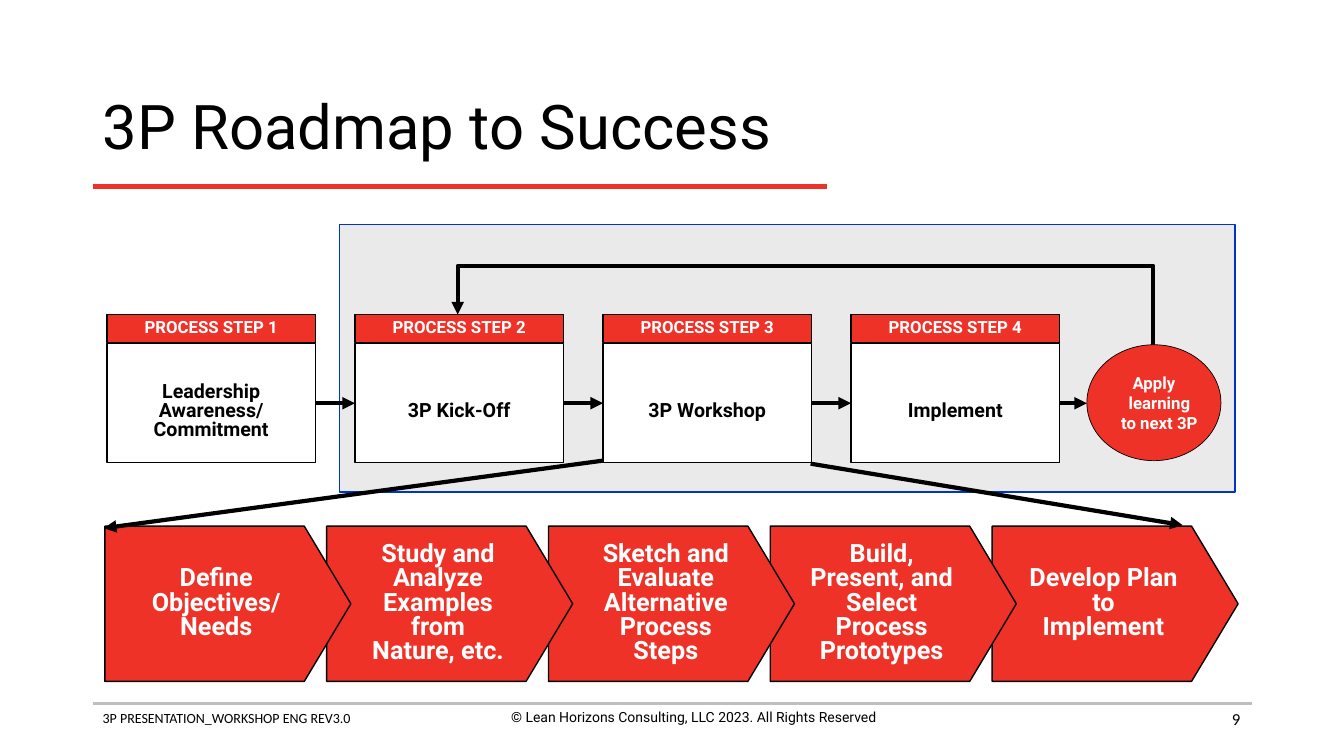
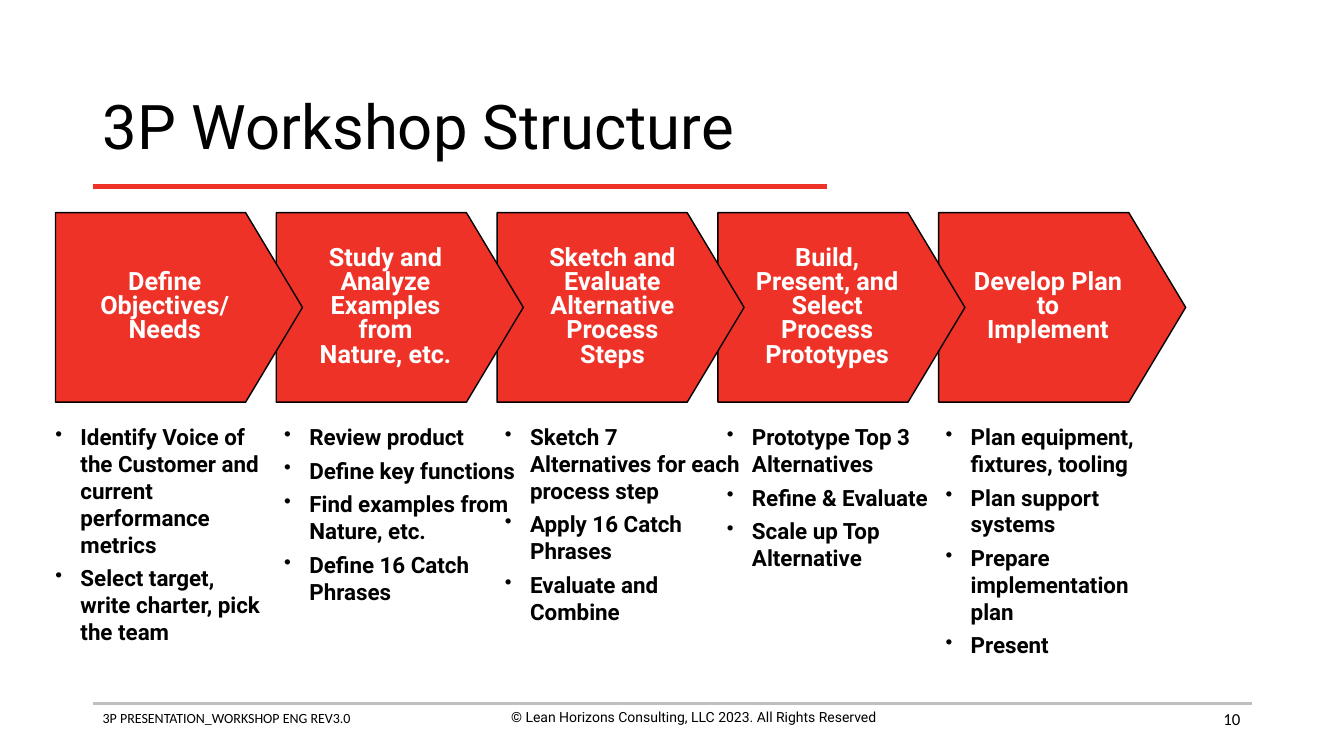
from lxml.etree import SubElement
from pptx import Presentation
from pptx.dml.color import RGBColor
from pptx.enum.shapes import MSO_CONNECTOR, MSO_SHAPE
from pptx.enum.text import MSO_ANCHOR, PP_ALIGN
from pptx.oxml.ns import qn
from pptx.util import Inches, Pt

RED, BLACK, WHITE = "EE3228", "000000", "FFFFFF"
PANEL_GRAY, PANEL_BLUE, RULE_GRAY = "EAEAEA", "0033CC", "BFBFBF"

TITLE = {"size": Pt(44), "name": "Roboto"}
FOOTER = {"size": Pt(10), "name": "Calibri"}
COPYRIGHT = {"size": Pt(10), "name": "Roboto"}
PAGE_NUMBER = {"size": Pt(12), "name": "Calibri"}
STEP_HEADER = {"size": Pt(12), "name": "Roboto", "bold": True}
STEP_BODY = {"size": Pt(14), "name": "Roboto", "bold": True}
BULLET = {"size": Pt(16), "name": "Roboto", "bold": True}
CHEVRON = {"size": Pt(18), "name": "Roboto", "bold": True}

CENTERED = {"alignment": PP_ALIGN.CENTER}
TIGHT = {"alignment": PP_ALIGN.CENTER, "line_spacing": 0.8}
MIDDLE = {"word_wrap": True, "vertical_anchor": MSO_ANCHOR.MIDDLE}
UNWRAPPED = {**MIDDLE, "word_wrap": False}
STEP_FRAME = {**MIDDLE, "margin_top": Inches(0.22)}
SHIFTED = {**MIDDLE, "margin_left": Inches(0.2), "margin_right": Inches(0.08)}

STEPS = ["Leadership Awareness/ Commitment", "3P Kick-Off", "3P Workshop", "Implement"]
STEP_LEFT, STEP_PITCH, STEP_WIDTH = 1.06, 2.46, 2.07
STEP_TOP, STEP_HEIGHT = 3.41, 1.18

PHASES = [
    ("Define\nObjectives/\nNeeds", MIDDLE),
    ("Study and\nAnalyze\nExamples\nfrom\nNature, etc.", MIDDLE),
    ("Sketch and\nEvaluate\nAlternative\nProcess\nSteps", SHIFTED),
    ("Build,\nPresent, and\nSelect\nProcess\nPrototypes", MIDDLE),
    ("Develop Plan\nto\nImplement", MIDDLE),
]

ACTIVITIES = [
    (0.45, 2.27, ["Identify Voice of the Customer and current performance metrics",
                  "Select target, write charter, pick the team"]),
    (2.72, 2.49, ["Review product", "Define key functions",
                  "Find examples from Nature, etc.", "Define 16 Catch Phrases"]),
    (4.91, 2.54, ["Sketch 7 Alternatives for each process step",
                  "Apply 16 Catch Phrases", "Evaluate and Combine"]),
    (7.11, 2.49, ["Prototype Top 3 Alternatives", "Refine & Evaluate",
                  "Scale up Top Alternative"]),
    (9.28, 2.47, ["Plan equipment, fixtures, tooling", "Plan support systems",
                  "Prepare implementation plan", "Present"]),
]


def color(value):
    """Turn a hex string into a colour."""
    return RGBColor.from_string(value)


def apply(target, values):
    """Set each named attribute on the target."""
    for name, value in values.items():
        setattr(target, name, value)


def indent(paragraph, distance):
    """Hang the first line of a paragraph and return its properties."""
    properties = paragraph._p.get_or_add_pPr()
    properties.set("marL", str(Inches(distance)))
    properties.set("indent", str(-Inches(distance)))
    return properties


def add_bullet(paragraph):
    """Give a paragraph a round black bullet."""
    properties = indent(paragraph, 0.25)
    bullet_color = SubElement(properties, qn("a:buClr"))
    SubElement(bullet_color, qn("a:srgbClr"), val=BLACK)
    SubElement(properties, qn("a:buSzPct"), val="90000")
    SubElement(properties, qn("a:buChar"), char="•")


def style(paragraph, font, text_color, layout):
    """Apply layout and font values to a paragraph."""
    apply(paragraph, layout)
    apply(paragraph.font, font)
    paragraph.font.color.rgb = color(text_color)


def write(shape, text, font, text_color=BLACK, frame=MIDDLE, layout=CENTERED):
    """Write one formatted paragraph into a shape and return it."""
    apply(shape.text_frame, frame)
    paragraph = shape.text_frame.paragraphs[0]
    paragraph.text = text
    style(paragraph, font, text_color, layout)
    return paragraph


def add_text(slide, box, text, font, frame, layout):
    """Add a text box with one paragraph."""
    shape = slide.shapes.add_textbox(*map(Inches, box))
    write(shape, text, font, frame=frame, layout=layout)


def add_shape(slide, kind, box, fill, line=BLACK, width=1):
    """Add a filled and outlined preset shape."""
    shape = slide.shapes.add_shape(kind, *map(Inches, box))
    shape.shadow.inherit = False
    shape.fill.solid()
    shape.fill.fore_color.rgb = color(fill)
    shape.line.color.rgb = color(line)
    shape.line.width = Pt(width)
    return shape


def add_line(slide, start, end, line=BLACK, width=3, arrow=False, kind=MSO_CONNECTOR.STRAIGHT):
    """Add a connector, with an arrowhead at its end if wanted."""
    connector = slide.shapes.add_connector(kind, *map(Inches, start + end))
    connector.line.color.rgb = color(line)
    connector.line.width = Pt(width)
    if arrow:
        SubElement(connector.line._get_or_add_ln(), qn("a:tailEnd"), type="triangle")
    SubElement(connector._element.spPr, qn("a:effectLst"))
    return connector


def add_base_slide(presentation, title, number):
    """Add a slide with title, rules and footer."""
    slide = presentation.slides.add_slide(presentation.slide_layouts[6])
    add_line(slide, (0.92, 6.98), (12.42, 6.98), RULE_GRAY, 2)
    add_line(slide, (0.92, 1.85), (8.2, 1.85), RED)
    top = {"word_wrap": True}
    add_text(slide, (0.92, 6.99, 4.56, 0.44), "3P PRESENTATION_WORKSHOP ENG REV3.0",
             FOOTER, top, {})
    add_text(slide, (4.6, 6.98, 4.56, 0.44),
             "© Lean Horizons Consulting, LLC 2023. All Rights Reserved",
             COPYRIGHT, top, CENTERED)
    add_text(slide, (0.92, 0.74, 11.5, 1.1), title, TITLE, MIDDLE, {"line_spacing": 0.9})
    add_text(slide, (9.4, 6.93, 3, 0.4), str(number), PAGE_NUMBER, MIDDLE,
             {"alignment": PP_ALIGN.RIGHT})
    return slide


def add_chevrons(slide, left, top, pitch, width, height):
    """Add the row of phases, each overlapping the next."""
    for index, (label, frame) in reversed(list(enumerate(PHASES))):
        box = (left + index * pitch, top, width, height)
        shape = add_shape(slide, MSO_SHAPE.PENTAGON, box, RED)
        shape.adjustments[0] = 0.3
        write(shape, label, CHEVRON, WHITE, frame, TIGHT)


def add_step(slide, index, label):
    """Add one process step with its header and return its body."""
    left = STEP_LEFT + index * STEP_PITCH
    body = add_shape(slide, MSO_SHAPE.RECTANGLE, (left, STEP_TOP, STEP_WIDTH, STEP_HEIGHT), WHITE)
    write(body, label, STEP_BODY, frame=STEP_FRAME, layout=TIGHT)
    header = add_shape(slide, MSO_SHAPE.RECTANGLE, (left, 3.12, STEP_WIDTH, 0.28), RED)
    write(header, f"PROCESS STEP {index + 1}", STEP_HEADER, WHITE, UNWRAPPED, TIGHT)
    return body


def add_feedback_arrow(slide):
    """Add the elbow arrow that leads from the circle back to step 2."""
    connector = add_line(slide, (8.14, -0.18), (7.84, 6.72), arrow=True, kind=MSO_CONNECTOR.ELBOW)
    properties = connector._element.spPr
    properties.find(qn("a:xfrm")).set("rot", "5400000")
    geometry = properties.find(qn("a:prstGeom"))
    guides = geometry.find(qn("a:avLst"))
    if guides is None:
        guides = SubElement(geometry, qn("a:avLst"))
    SubElement(guides, qn("a:gd"), name="adj1", fmla="val 261300")


def add_activities(slide, left, width, items):
    """Add a bulleted column of activities."""
    shape = slide.shapes.add_textbox(*map(Inches, (left, 4.15, width, 2.6)))
    shape.text_frame.word_wrap = True
    for index, item in enumerate(items):
        paragraph = shape.text_frame.add_paragraph() if index else shape.text_frame.paragraphs[0]
        paragraph.text = item
        add_bullet(paragraph)
        style(paragraph, BULLET, BLACK, {"space_before": Pt(4.8)} if index else {})


def build_roadmap(presentation):
    """Build the roadmap slide."""
    slide = add_base_slide(presentation, "3P Roadmap to Success", 9)
    add_shape(slide, MSO_SHAPE.RECTANGLE, (3.37, 2.23, 8.88, 2.65), PANEL_GRAY, PANEL_BLUE)
    circle = add_shape(slide, MSO_SHAPE.OVAL, (10.78, 3.42, 1.33, 1.15), RED, width=0.5)
    indent(write(circle, "Apply\nlearning\nto next 3P", STEP_HEADER, WHITE, UNWRAPPED), 0.11)
    bodies = [add_step(slide, index, label) for index, label in enumerate(STEPS)]
    middle = STEP_TOP + STEP_HEIGHT / 2
    for body, following in zip(bodies, bodies[1:] + [None]):
        arrow = add_line(slide, (10.51, middle), (10.78, middle), arrow=True)
        arrow.begin_connect(body, 3)
        if following is not None:
            arrow.end_connect(following, 1)
    add_feedback_arrow(slide)
    add_chevrons(slide, 1.04, 5.22, 2.2, 2.44, 1.54)
    add_line(slide, (5.98, 4.57), (1.03, 5.24), arrow=True)
    add_line(slide, (8.04, 4.6), (11.73, 5.21), arrow=True)


def build_structure(presentation):
    """Build the workshop structure slide."""
    slide = add_base_slide(presentation, "3P Workshop Structure", 10)
    add_chevrons(slide, 0.55, 2.11, 2.19, 2.45, 1.88)
    for left, width, items in ACTIVITIES:
        add_activities(slide, left, width, items)


def main():
    """Build and save the presentation."""
    presentation = Presentation()
    apply(presentation, {"slide_width": Inches(13.33), "slide_height": Inches(7.5)})
    build_roadmap(presentation)
    build_structure(presentation)
    presentation.save("out.pptx")


if __name__ == "__main__":
    main()
